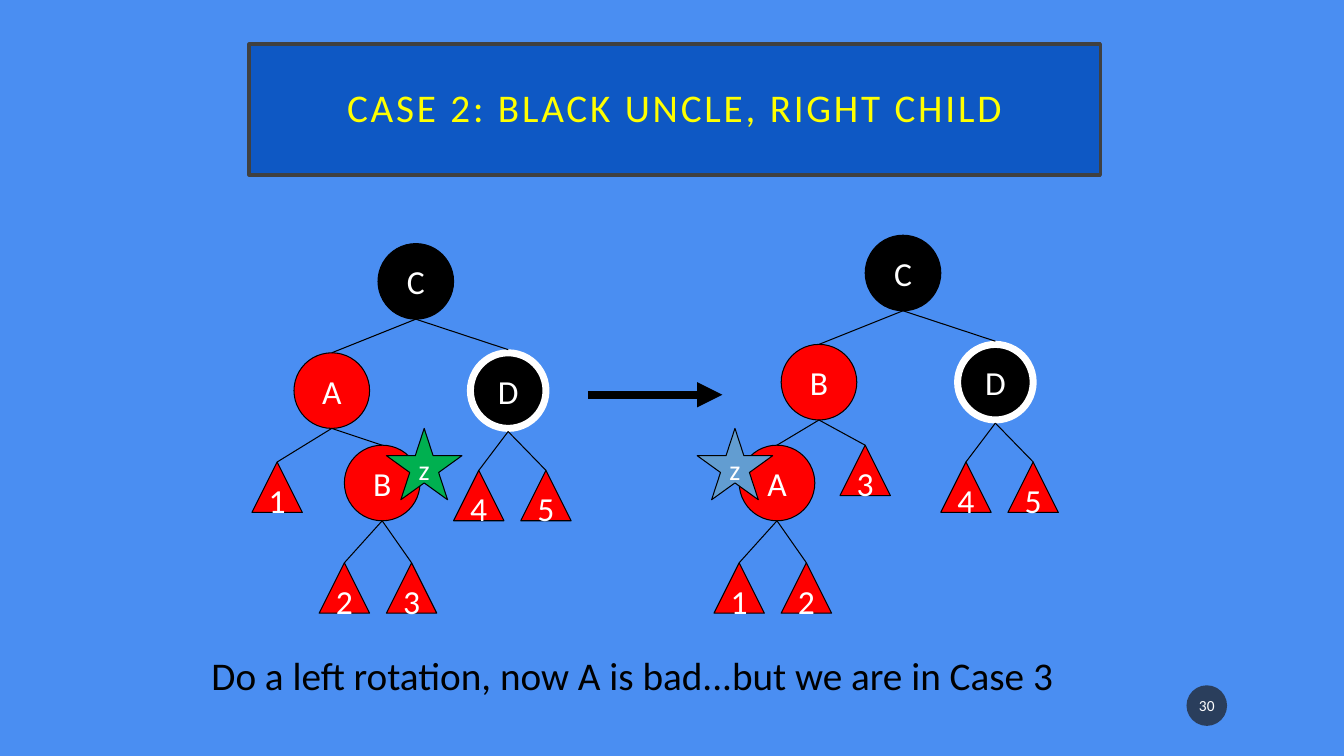
from lxml import etree
from pptx import Presentation
from pptx.dml.color import RGBColor
from pptx.enum import shapes, text
from pptx.oxml import ns
from pptx.util import Pt

COLORS = {
    "background": "4A8EF2", "banner": "0E58C4", "banner_line": "404040",
    "title": "FFFF00", "white": "FFFFFF", "black": "000000", "red": "FF0000",
    "green": "00B050", "pale_blue": "629DD1", "badge": "1D1D1D",
}
NODE, LEAF = 54, 36
STAR_W, STAR_H = 54, 51
RING = 5
RING_GAP = 2.25

# Each vertex: label -> (centre x, top, colour); digits are subtrees.
BEFORE = {
    "C": (297, 174, "black"), "A": (237, 252, "red"),
    "B": (273, 318, "red"), "D": (363, 252, "black"),
    "1": (198, 330, "red"), "2": (246, 402, "red"), "3": (294, 402, "red"),
    "4": (342, 336, "red"), "5": (390, 336, "red"),
}
AFTER = {
    "C": (645, 168, "black"), "B": (585, 246, "red"),
    "A": (555, 318, "red"), "D": (711, 246, "black"),
    "1": (528, 402, "red"), "2": (576, 402, "red"), "3": (618, 318, "red"),
    "4": (690, 330, "red"), "5": (738, 330, "red"),
}
BEFORE_EDGES = ["CA", "CD", "A1", "AB", "B2", "B3", "D4", "D5"]
AFTER_EDGES = ["CB", "CD", "BA", "B3", "A1", "A2", "D4", "D5"]


def rgb(name):
    return RGBColor.from_string(COLORS[name])


def set_text(sp, content, size, color, align=text.PP_ALIGN.CENTER, wrap=False):
    tf = sp.text_frame
    tf.text = content
    tf.word_wrap = wrap
    p = tf.paragraphs[0]
    p.alignment = align
    r = p.runs[0]
    r.font.name, r.font.size = "Calibri", Pt(size)
    r.font.color.rgb = rgb(color)
    return r


def add_label(parent, kind, box, label, size, fill, line="black", width=0.75):
    """Add a filled preset shape with centred white text."""
    sp = parent.shapes.add_shape(kind, *map(Pt, box))
    sp.shadow.inherit = False
    sp.fill.solid()
    sp.fill.fore_color.rgb = rgb(fill)
    if line:
        sp.line.color.rgb = rgb(line)
        sp.line.width = Pt(width)
    else:
        sp.line.fill.background()
    sp.text_frame.vertical_anchor = text.MSO_ANCHOR.MIDDLE
    set_text(sp, label, size, "white")
    return sp


def add_line(parent, start, end, width=0.75):
    line = parent.shapes.add_connector(
        shapes.MSO_CONNECTOR.STRAIGHT, *map(Pt, start + end))
    line.line.color.rgb = rgb("black")
    line.line.width = Pt(width)
    etree.SubElement(line._element.spPr, ns.qn("a:effectLst"))
    return line


def add_vertex(parent, label, x, top, color):
    if label.isdigit():
        kind, size = shapes.MSO_SHAPE.ISOSCELES_TRIANGLE, LEAF
    else:
        kind, size = shapes.MSO_SHAPE.OVAL, NODE
    outline = ("white", RING) if label == "D" else ("black", 0.75)
    return add_label(parent, kind, (x - size / 2, top, size, size),
                     label, 24, color, *outline)


def add_tree(s, vertices, edges, star_left, star_color):
    group = s.shapes.add_group_shape()
    drawn = {label: add_vertex(group, label, *vertex)
             for label, vertex in vertices.items()}
    for parent, child in edges:
        x1, y1, _ = vertices[parent]
        x2, y2, _ = vertices[child]
        y1 += NODE + (RING_GAP if parent == "D" else 0)
        y2 -= RING_GAP if child == "D" else 0
        line = add_line(group, (x1, y1), (x2, y2))
        if child != "D":
            line.end_connect(drawn[child], 0)
    add_label(group, shapes.MSO_SHAPE.STAR_5_POINT,
              (star_left, 306, STAR_W, STAR_H), "z", 20, star_color)


def add_title(s):
    sp = s.shapes.title
    sp.left, sp.top, sp.width, sp.height = map(Pt, (178, 31.5, 608, 93.5))
    sp.fill.solid()
    sp.fill.fore_color.rgb = rgb("banner")
    sp.line.color.rgb = rgb("banner_line")
    sp.line.width = Pt(2.5)
    r = set_text(sp, "CASE 2: BLACK UNCLE, RIGHT CHILD", 28, "title", wrap=True)
    r.font._element.set("spc", "200")
    tf = sp.text_frame
    tf.vertical_anchor = text.MSO_ANCHOR.MIDDLE
    tf.paragraphs[0].line_spacing = 0.9
    tf.margin_left = tf.margin_right = Pt(14.4)
    tf.margin_top = tf.margin_bottom = Pt(14.4)


def add_page_badge(s):
    sp = add_label(s, shapes.MSO_SHAPE.OVAL, (847.5, 489.5, 29, 29),
                   "30", 11, "badge", line=None)
    sp.text_frame.margin_left = sp.text_frame.margin_right = Pt(1.44)
    sp.text_frame.word_wrap = True
    color = sp._element.spPr.find(".//" + ns.qn("a:srgbClr"))
    etree.SubElement(color, ns.qn("a:alpha"), val="70000")


def add_rotation_arrow(s):
    arrow = add_line(s, (420, 282), (516, 282), 6)
    etree.SubElement(arrow.line._get_or_add_ln(), ns.qn("a:tailEnd"),
                     type="triangle")


def add_caption(s):
    sp = s.shapes.add_textbox(*map(Pt, (144, 462, 623.5, 41)))
    set_text(sp, "Do a left rotation, now A is bad...but we are in Case 3",
             28, "black", text.PP_ALIGN.LEFT)
    sp.text_frame.auto_size = text.MSO_AUTO_SIZE.SHAPE_TO_FIT_TEXT


def main():
    prs = Presentation()
    prs.slide_width, prs.slide_height = Pt(960), Pt(540)
    s = prs.slides.add_slide(prs.slide_layouts[5])
    s.background.fill.solid()
    s.background.fill.fore_color.rgb = rgb("background")
    add_page_badge(s)
    add_title(s)
    add_tree(s, BEFORE, BEFORE_EDGES, 276, "green")
    add_tree(s, AFTER, AFTER_EDGES, 498, "pale_blue")
    add_rotation_arrow(s)
    add_caption(s)
    prs.save("out.pptx")


if __name__ == "__main__":
    main()
